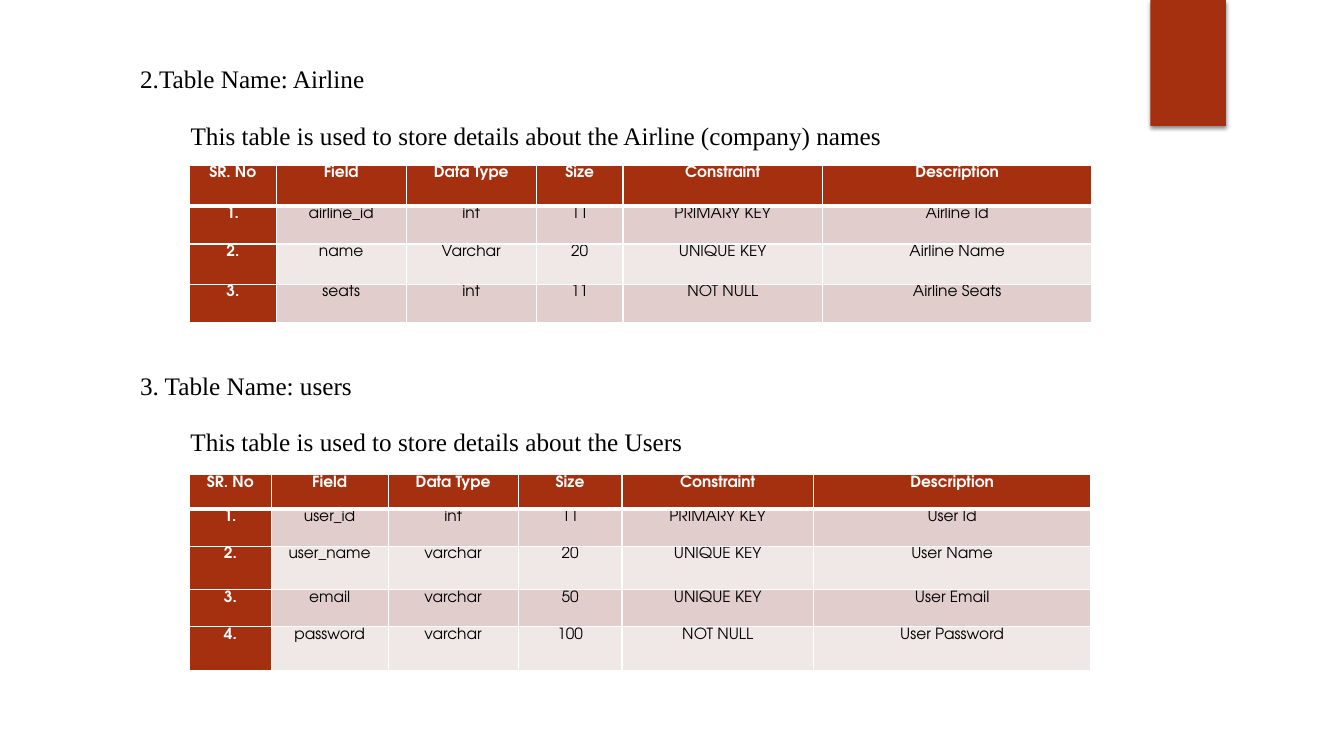
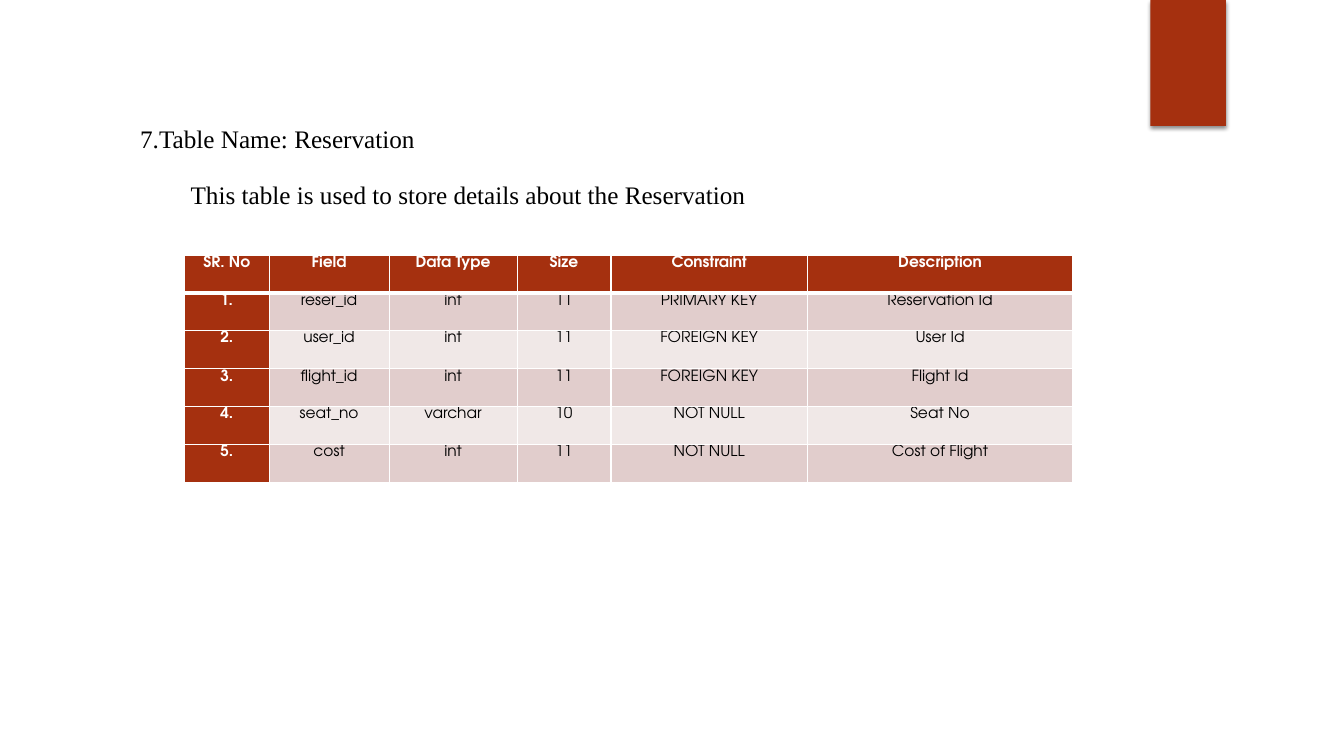
from dataclasses import dataclass

import lxml.etree
import pptx
import pptx.dml.color
import pptx.enum.shapes
import pptx.enum.text
import pptx.oxml
import pptx.oxml.ns
import pptx.util

Inches = pptx.util.Inches
Pt = pptx.util.Pt


@dataclass(frozen=True)
class Theme:
    accent: str = "A5300F"
    band_dark: str = "E1CDCC"
    band_light: str = "F0E8E7"
    white: str = "FFFFFF"
    black: str = "000000"
    text_font: str = "Times New Roman"
    table_font: str = "TeX Gyre Adventor"
    text_size: float = 18
    table_size: float = 11
    line_spacing: float = 1.07
    wide_spacing: float = 1.5
    thin_border: float = 1
    thick_border: float = 3


THEME = Theme()
HEADERS = ("SR. No", "Field", "Data Type", "Size", "Constraint", "Description")


@dataclass(frozen=True)
class Section:
    heading: str
    description: str
    text_box: tuple       # left, top, width, height
    heading_spacing: float
    table_corner: tuple   # left, top
    column_widths: tuple
    row_heights: tuple
    fields: tuple


AIRLINE = Section(
    "2.Table Name: Airline",
    "This table is used to store details about the Airline (company) names",
    (1.29, 0.56, 9.95, 0.94), THEME.line_spacing, (1.88, 1.64),
    (0.86, 1.29, 1.29, 0.86, 1.98, 2.67), (0.4, 0.38, 0.4, 0.38),
    (("airline_id", "int", "11", "PRIMARY KEY", "Airline Id"),
     ("name", "Varchar", "20", "UNIQUE KEY", "Airline Name"),
     ("seats", "int", "11", "NOT NULL", "Airline Seats")))

USERS = Section(
    "3. Table Name: users",
    "This table is used to store details about the Users",
    (1.29, 3.6, 9.95, 0.94), THEME.line_spacing, (1.88, 4.71),
    (0.81, 1.16, 1.29, 1.03, 1.9, 2.75), (0.34, 0.37, 0.43, 0.37, 0.43),
    (("user_id", "int", "11", "PRIMARY KEY", "User Id"),
     ("user_name", "varchar", "20", "UNIQUE KEY", "User Name"),
     ("email", "varchar", "50", "UNIQUE KEY", "User Email"),
     ("password", "varchar", "100", "NOT NULL", "User Password")))

RESERVATION = Section(
    "7.Table Name: Reservation",
    "This table is used to store details about the Reservation",
    (1.29, 1.02, 9.95, 1.07), THEME.wide_spacing, (1.83, 2.53),
    (0.84, 1.19, 1.27, 0.93, 1.95, 2.63), (0.38, 0.37, 0.38, 0.37, 0.38, 0.38),
    (("reser_id", "int", "11", "PRIMARY KEY", "Reservation Id"),
     ("user_id", "int", "11", "FOREIGN KEY", "User Id"),
     ("flight_id", "int", "11", "FOREIGN KEY", "Flight Id"),
     ("seat_no", "varchar", "10", "NOT NULL", "Seat No"),
     ("cost", "int", "11", "NOT NULL", "Cost of Flight")))

PAGES = ((AIRLINE, USERS), (RESERVATION,))


def rgb(color):
    return pptx.dml.color.RGBColor.from_string(color)


def format_runs(para, font, size, color, bold):
    for span in para.runs:
        span.font.name = font
        span.font.size = Pt(size)
        span.font.color.rgb = rgb(color)
        span.font.bold = bold


def add_ribbon(page, box):
    """Accent ribbon hanging from the top edge, with a soft shadow."""
    ribbon = page.shapes.add_shape(
        pptx.enum.shapes.MSO_SHAPE.RECTANGLE, *map(Inches, box))
    ribbon.fill.solid()
    ribbon.fill.fore_color.rgb = rgb(THEME.accent)
    ribbon.line.fill.background()
    ribbon.shadow.inherit = False
    effects = ribbon.element.spPr.find(pptx.oxml.ns.qn("a:effectLst"))
    effects.append(pptx.oxml.parse_xml(
        f'<a:outerShdw {pptx.oxml.ns.nsdecls("a")} blurRad="{Pt(3)}" '
        f'dist="{Pt(2)}" dir="5400000" rotWithShape="0">'
        f'<a:srgbClr val="{THEME.black}"><a:alpha val="45000"/></a:srgbClr>'
        '</a:outerShdw>'))


def fill_heading(shape, section):
    """Bold table name above an indented description."""
    shape.left, shape.top, shape.width, shape.height = map(Inches, section.text_box)
    frame = shape.text_frame
    frame.text = f"{section.heading}\n{section.description}"
    frame.word_wrap = True
    frame.auto_size = pptx.enum.text.MSO_AUTO_SIZE.SHAPE_TO_FIT_TEXT
    frame.vertical_anchor = pptx.enum.text.MSO_ANCHOR.TOP
    heading, description = frame.paragraphs
    for para in frame.paragraphs:
        para.alignment = pptx.enum.text.PP_ALIGN.LEFT
        para.space_after = Pt(8)
        format_runs(para, THEME.text_font, THEME.text_size, THEME.black,
                    para is heading)
    heading.line_spacing = section.heading_spacing
    description.line_spacing = THEME.wide_spacing
    properties = description._p.get_or_add_pPr()
    properties.set("marL", str(Inches(0.5)))
    properties.set("indent", "0")


def set_border(cell, side, width):
    properties = cell._tc.get_or_add_tcPr()
    line = lxml.etree.SubElement(
        properties, pptx.oxml.ns.qn(f"a:ln{side}"), w=str(Pt(width)))
    fill = lxml.etree.SubElement(line, pptx.oxml.ns.qn("a:solidFill"))
    lxml.etree.SubElement(fill, pptx.oxml.ns.qn("a:srgbClr"), val=THEME.white)


def format_cell(cell, text, row, column):
    strong = row == 0 or column == 0
    band = THEME.band_dark if row % 2 else THEME.band_light
    # Borders come before the fill, as the file format requires
    for side in "LRTB":
        under_header = (row, side) in ((0, "B"), (1, "T"))
        set_border(cell, side,
                   THEME.thick_border if under_header else THEME.thin_border)
    cell.fill.solid()
    cell.fill.fore_color.rgb = rgb(THEME.accent if strong else band)
    cell.margin_left = cell.margin_right = Inches(0.07)
    cell.margin_top = cell.margin_bottom = 0
    cell.text_frame.text = text
    para = cell.text_frame.paragraphs[0]
    para.alignment = pptx.enum.text.PP_ALIGN.CENTER
    para.line_spacing = THEME.line_spacing
    format_runs(para, THEME.table_font, THEME.table_size,
                THEME.white if strong else THEME.black, strong)


def add_field_table(page, section):
    """Numbered list of the fields under a header row."""
    rows = [HEADERS] + [(f"{number}.", *field)
                        for number, field in enumerate(section.fields, 1)]
    size = (sum(section.column_widths), sum(section.row_heights))
    table = page.shapes.add_table(
        len(rows), len(HEADERS),
        *map(Inches, section.table_corner + size)).table
    table.first_col = True
    for column, width in zip(table.columns, section.column_widths):
        column.width = Inches(width)
    for row, height in zip(table.rows, section.row_heights):
        row.height = Inches(height)
    for row, texts in enumerate(rows):
        for column, text in enumerate(texts):
            format_cell(table.cell(row, column), text, row, column)


def add_page(deck, sections):
    """The first section's heading is the title; later ones get text boxes."""
    page = deck.slides.add_slide(deck.slide_layouts.get_by_name("Title Only"))
    add_ribbon(page, (11.41, 0, 0.75, 1.25))
    for index, section in enumerate(sections):
        shape = (page.shapes.add_textbox(*map(Inches, section.text_box))
                 if index else page.shapes.title)
        fill_heading(shape, section)
        add_field_table(page, section)


def main():
    deck = pptx.Presentation()
    deck.slide_width, deck.slide_height = Inches(13.33), Inches(7.5)
    for sections in PAGES:
        add_page(deck, sections)
    deck.save("out.pptx")


if __name__ == "__main__":
    main()
